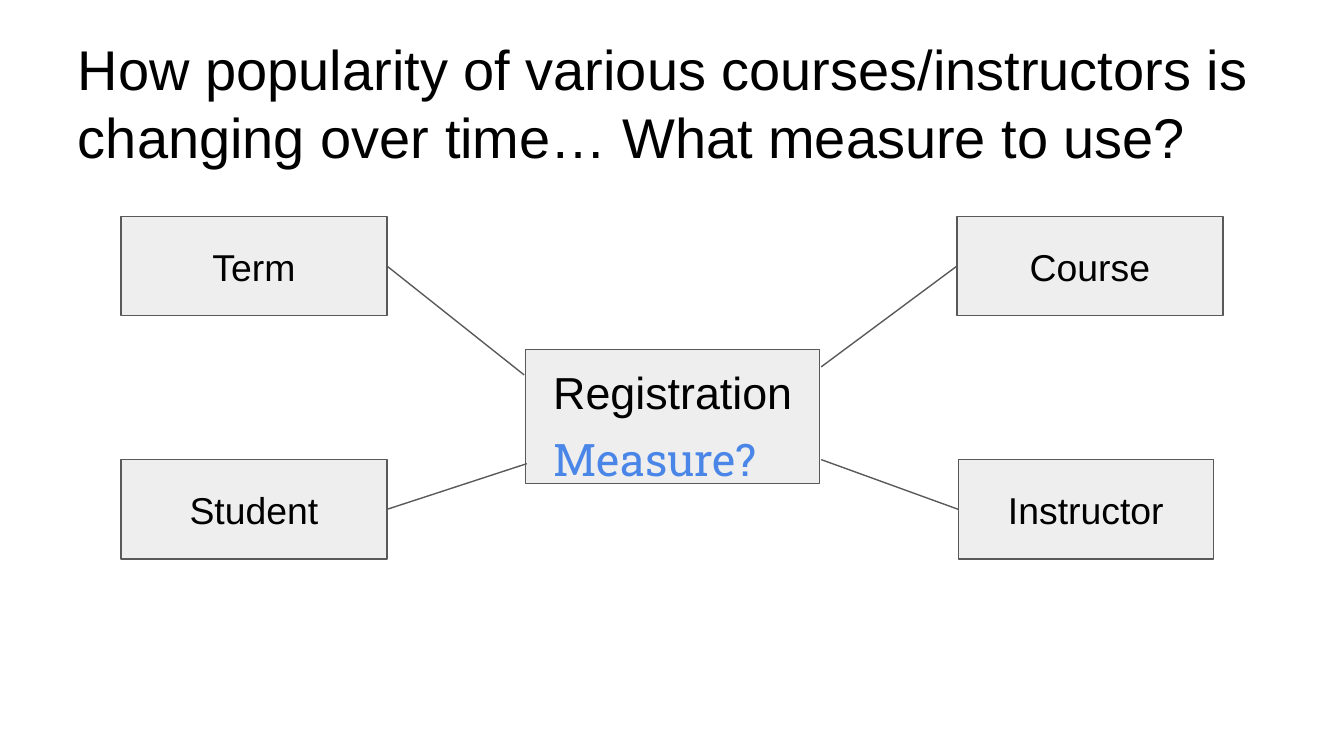
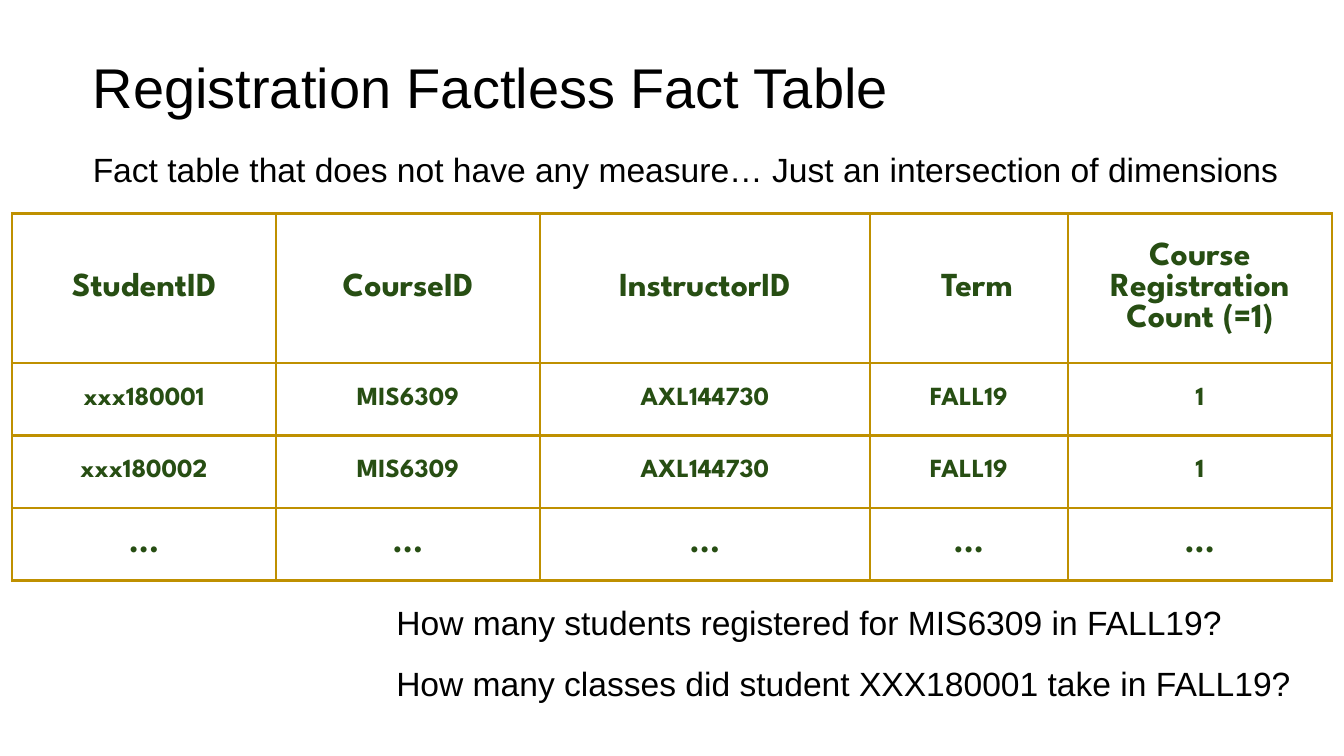
from lxml.etree import SubElement
from pptx import Presentation
from pptx.dml.color import RGBColor
from pptx.enum.shapes import MSO_CONNECTOR, MSO_SHAPE
from pptx.enum.text import MSO_ANCHOR, PP_ALIGN
from pptx.oxml.ns import qn
from pptx.util import Inches, Pt

COLORS = {
    "text": "000000",
    "box": "EEEEEE",
    "outline": "595959",
    "measure": "4A86E8",
    "table_text": "274E13",
    "table_border": "BF9000",
}
BODY_FONT = "Arial"
MEASURE_FONT = "Roboto Slab"
TABLE_FONT = "League Spartan"
TITLE_ONLY = 5
LEFT_SIDE, RIGHT_SIDE = 1, 3
FACT_TABLE_WIDTH = 9.82
FACT_COLUMN_SHARES = (8, 8, 10, 6, 8)


def color(name):
    return RGBColor.from_string(COLORS[name])


def set_margins(target, left=0.1, bottom=0.1):
    target.margin_left = Inches(left)
    target.margin_top = Inches(0.1)
    target.margin_right = Inches(0.1)
    target.margin_bottom = Inches(bottom)


def write(frame, text, size, font=BODY_FONT, color_name="text",
          align=PP_ALIGN.LEFT, bold=False):
    frame.word_wrap = True
    paragraph = frame.paragraphs[0]
    paragraph.alignment = align
    paragraph.line_spacing = 1.0
    run = paragraph.add_run()
    run.text = text
    run.font.name = font
    run.font.size = Pt(size)
    run.font.bold = bold
    run.font.color.rgb = color(color_name)


def add_titled_slide(presentation, text, left, top, width, height):
    slide = presentation.slides.add_slide(presentation.slide_layouts[TITLE_ONLY])
    title = slide.shapes.title
    title.left, title.top = Inches(left), Inches(top)
    title.width, title.height = Inches(width), Inches(height)
    frame = title.text_frame
    frame.vertical_anchor = MSO_ANCHOR.TOP
    set_margins(frame)
    write(frame, text, 30)
    return slide


def add_text(slide, text, left, top, width, height, size=18, font=BODY_FONT,
             color_name="text", margin_left=0.1):
    box = slide.shapes.add_textbox(
        Inches(left), Inches(top), Inches(width), Inches(height))
    set_margins(box.text_frame, left=margin_left)
    write(box.text_frame, text, size, font, color_name)


def add_box(slide, text, left, top, width, height, size=20, margin_bottom=0.1):
    shape = slide.shapes.add_shape(
        MSO_SHAPE.RECTANGLE, Inches(left), Inches(top), Inches(width), Inches(height))
    shape.shadow.inherit = False
    shape.fill.solid()
    shape.fill.fore_color.rgb = color("box")
    shape.line.color.rgb = color("outline")
    shape.line.width = Pt(0.75)
    frame = shape.text_frame
    frame.vertical_anchor = MSO_ANCHOR.MIDDLE
    set_margins(frame, bottom=margin_bottom)
    write(frame, text, size, align=PP_ALIGN.CENTER)
    return shape


def add_link(slide, box, side, end_x, end_y):
    connector = slide.shapes.add_connector(
        MSO_CONNECTOR.STRAIGHT, box.left, box.top, Inches(end_x), Inches(end_y))
    connector.begin_connect(box, side)
    connector.line.color.rgb = color("outline")
    connector.line.width = Pt(0.75)
    SubElement(connector._element.spPr, qn("a:effectLst"))


def add_plain_table(slide, left, top, columns, rows):
    table = slide.shapes.add_table(
        len(rows), len(columns), Inches(left), Inches(top),
        Inches(sum(columns)), Inches(sum(rows))).table
    table.first_row = False
    table.horz_banding = False
    for column, width in zip(table.columns, columns):
        column.width = Inches(width)
    for row, height in zip(table.rows, rows):
        row.height = Inches(height)
    for cell in table.iter_cells():
        set_margins(cell)
        cell.fill.background()
    return table


def add_borders(cell):
    properties = cell._tc.get_or_add_tcPr()
    for index, tag in enumerate(("a:lnL", "a:lnR", "a:lnT", "a:lnB")):
        line = properties.makeelement(qn(tag), {"w": str(Pt(1.5))})
        properties.insert(index, line)
        fill = SubElement(line, qn("a:solidFill"))
        SubElement(fill, qn("a:srgbClr"), val=COLORS["table_border"])


def add_fact_table(slide, records):
    unit = FACT_TABLE_WIDTH / sum(FACT_COLUMN_SHARES)
    table = add_plain_table(
        slide, 0.09, 1.59, [share * unit for share in FACT_COLUMN_SHARES],
        [1.11] + [0.54] * 3)
    for row, record, size in zip(table.rows, records, (18, 14, 14, 18)):
        for cell, text in zip(row.cells, record):
            cell.vertical_anchor = MSO_ANCHOR.MIDDLE
            write(cell.text_frame, text, size, TABLE_FONT, "table_text",
                  PP_ALIGN.CENTER, bold=True)
            add_borders(cell)
    table.cell(0, 3).margin_left = Inches(0.22)


def build_measure_slide(presentation):
    slide = add_titled_slide(
        presentation,
        "How popularity of various courses/instructors is changing over time… "
        "What measure to use?", 0.48, 0.16, 9.32, 1.2)
    add_box(slide, "Registration", 3.91, 2.6, 2.19, 1, 24, margin_bottom=0.48)
    dimensions = [
        ("Course", 7.12, 1.61, 1.98, LEFT_SIDE, 6.11, 2.73),
        ("Instructor", 7.13, 3.42, 1.9, LEFT_SIDE, 6.11, 3.42),
        ("Term", 0.9, 1.61, 1.98, RIGHT_SIDE, 3.9, 2.79),
        ("Student", 0.9, 3.42, 1.98, RIGHT_SIDE, 3.92, 3.45),
    ]
    for name, left, top, width, side, end_x, end_y in dimensions:
        box = add_box(slide, name, left, top, width, 0.74)
        add_link(slide, box, side, end_x, end_y)
    add_text(slide, "Measure?", 4.02, 3.11, 1.99, 0.75, 24, MEASURE_FONT, "measure")


def build_fact_table_slide(presentation):
    slide = add_titled_slide(
        presentation, "Registration Factless Fact Table", 0.59, 0.29, 8.09, 0.63)
    add_fact_table(slide, [
        ["StudentID", "CourseID", "InstructorID", "Term",
         "Course Registration Count (=1)"],
        ["xxx180001", "MIS6309", "AXL144730", "FALL19", "1"],
        ["xxx180002", "MIS6309", "AXL144730", "FALL19", "1"],
        ["..."] * 5,
    ])
    question = add_plain_table(slide, 2.85, 4.4, [6.6], [0.5]).cell(0, 0)
    write(question.text_frame,
          "How many students registered for MIS6309 in FALL19?", 18)
    add_text(slide, "How many classes did student XXX180001 take in FALL19?",
             2.85, 4.83, 7.09, 0.38)
    add_text(slide, "Fact table that does not have any measure… "
             "Just an intersection of dimensions",
             0.52, 1.01, 9.32, 0.38, margin_left=0.17)


def main():
    presentation = Presentation()
    presentation.slide_width = Inches(10)
    presentation.slide_height = presentation.slide_width * 9 // 16
    build_measure_slide(presentation)
    build_fact_table_slide(presentation)
    presentation.save("out.pptx")


if __name__ == "__main__":
    main()
